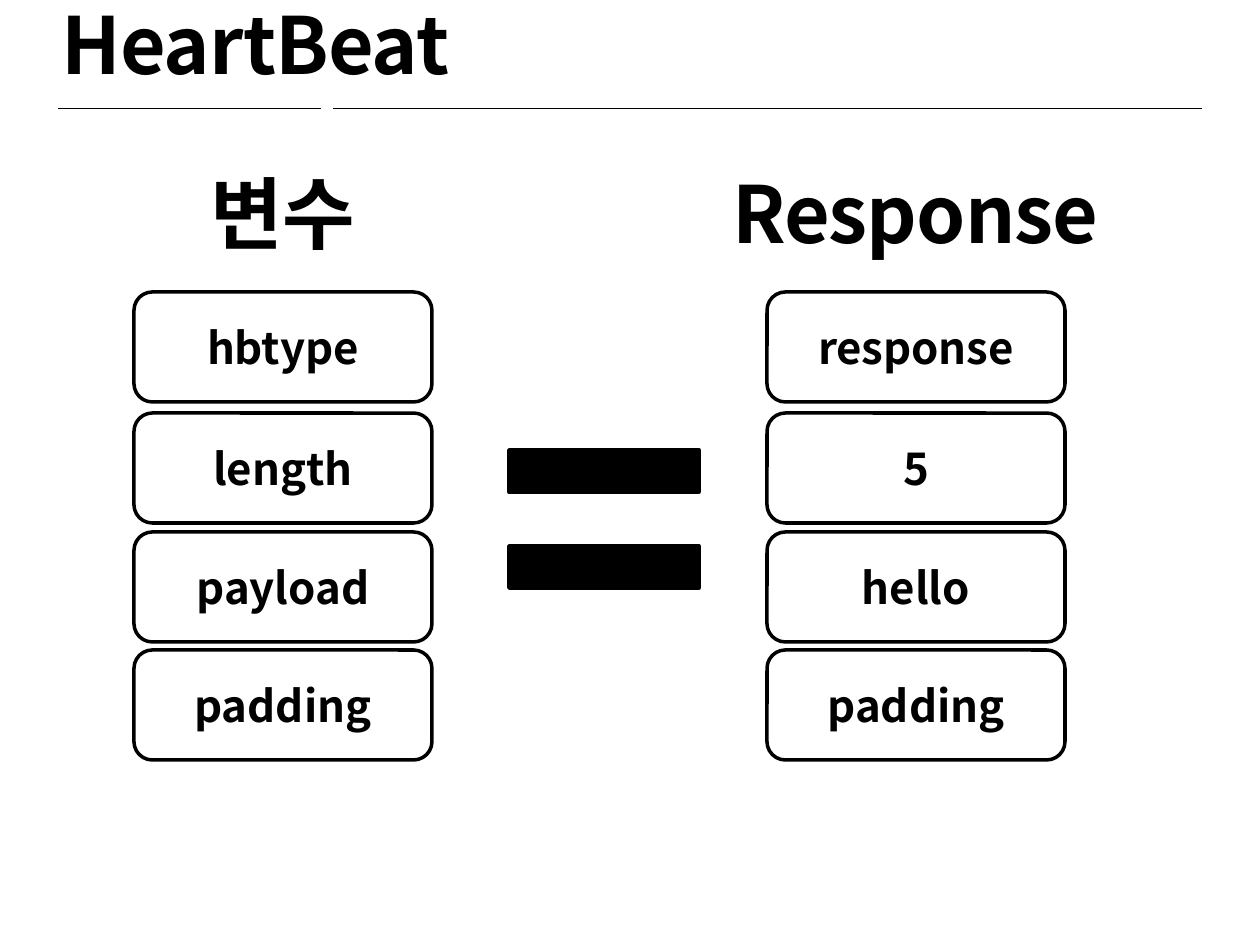
from dataclasses import dataclass

from lxml import etree
from pptx import Presentation
from pptx.dml.color import RGBColor
from pptx.enum.shapes import MSO_CONNECTOR, MSO_SHAPE
from pptx.enum.text import MSO_ANCHOR, PP_ALIGN
from pptx.oxml.ns import qn
from pptx.util import Pt

STRAIGHT = MSO_CONNECTOR.STRAIGHT
RECTANGLE, ROUNDED = MSO_SHAPE.RECTANGLE, MSO_SHAPE.ROUNDED_RECTANGLE
LEFT, CENTER = PP_ALIGN.LEFT, PP_ALIGN.CENTER
TOP, MIDDLE = MSO_ANCHOR.TOP, MSO_ANCHOR.MIDDLE
EMU_PER_PX = 914400 / 126


@dataclass(frozen=True)
class Theme:
    """Colours, font and sizes of the slide."""
    ink: RGBColor = RGBColor(0, 0, 0)
    paper: RGBColor = RGBColor(255, 255, 255)
    font: str = "Noto Sans CJK KR"
    heading: int = 45
    label: int = 25
    border: float = 2
    rule: float = 0.25


THEME = Theme()


def px(*lengths):
    """Turn lengths in px into EMU."""
    return [round(length * EMU_PER_PX) for length in lengths]


def write(shape, text, size, align=CENTER, anchor=MIDDLE, tracking=0, spacing=1.0):
    """Put one bold paragraph into a shape."""
    frame = shape.text_frame
    frame.word_wrap = True
    frame.vertical_anchor = anchor
    para = frame.paragraphs[0]
    para.alignment = align
    para.line_spacing = spacing
    span = para.add_run()
    span.text = text
    font = span.font
    font.name, font.size, font.bold = THEME.font, Pt(size), True
    font.color.rgb = THEME.ink
    properties = span._r.get_or_add_rPr()
    etree.SubElement(properties, qn("a:ea"), typeface=THEME.font)
    if tracking:
        properties.set("spc", str(round(tracking * 100)))


def add_box(shapes, kind, box, fill):
    """Add a filled shape with a dark border."""
    shape = shapes.add_shape(kind, *px(*box))
    shape.shadow.inherit = False
    shape.fill.solid()
    shape.fill.fore_color.rgb = fill
    shape.line.color.rgb = THEME.ink
    shape.line.width = Pt(THEME.border)
    return shape


def add_heading(page, text, box, align=CENTER):
    """Add a large heading."""
    shape = page.shapes.add_textbox(*px(*box))
    write(shape, text, THEME.heading, align, TOP, tracking=-0.5, spacing=0.9)


def add_rule(page, left, right, top):
    """Add a thin horizontal line."""
    line = page.shapes.add_connector(STRAIGHT, *px(left, top, right, top))
    line.line.color.rgb = THEME.ink
    line.line.width = Pt(THEME.rule)
    etree.SubElement(line._element.spPr, qn("a:effectLst"))


def add_title(page, text, box):
    """Add the slide title above its two-part rule."""
    left, top, width, height = box
    for start, end in ((9, 272), (284, 1153)):
        add_rule(page, left + start, left + end, top + 108)
    add_heading(page, text, box, LEFT)


def add_fields(page, labels, box):
    """Add a grouped stack of labelled field boxes."""
    left, top, width, height = box
    group = page.shapes.add_group_shape()
    for label, offset in zip(labels, (0, 121, 240, 358)):
        field = add_box(group.shapes, ROUNDED, (left, top + offset, width, 110), THEME.paper)
        write(field, label, THEME.label)


def add_equals(page, box):
    """Add an equals sign made of two bars."""
    left, top, width, height = box
    bar = 42
    for bar_top in (top, top + height - bar):
        add_box(page.shapes, RECTANGLE, (left, bar_top, width, bar), THEME.ink)


def main():
    """Build and save the slide."""
    deck = Presentation()
    deck.slide_width, deck.slide_height = px(1260, 945)
    page = deck.slides.add_slide(deck.slide_layouts[6])
    add_title(page, "HeartBeat", (49, 0, 1181, 88))
    add_fields(page, ("hbtype", "length", "payload", "padding"), (134, 292, 298, 468))
    add_fields(page, ("response", "5", "hello", "padding"), (767, 292, 298, 468))
    add_heading(page, "변수", (179, 169, 208, 88))
    add_heading(page, "Response", (714, 169, 403, 88))
    add_equals(page, (509, 450, 190, 138))
    deck.save("out.pptx")


if __name__ == "__main__":
    main()
